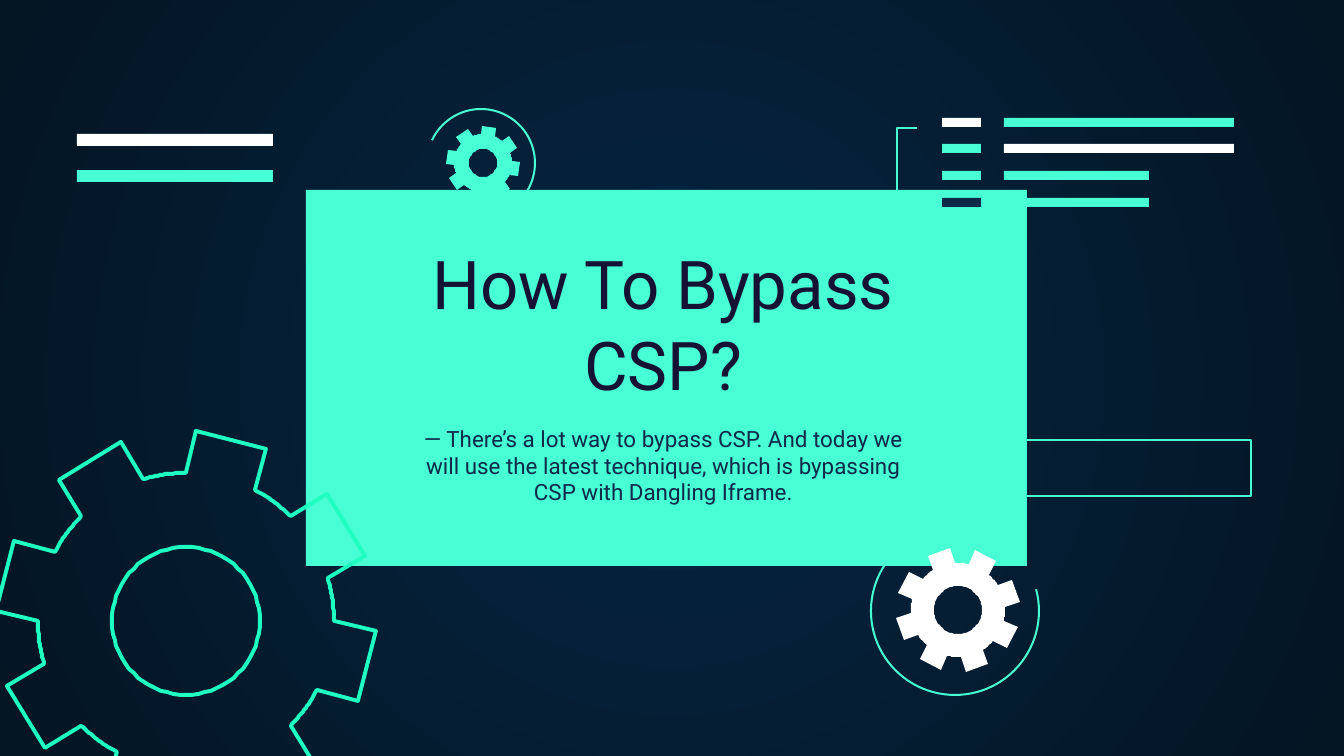
from dataclasses import dataclass
from math import cos, radians, sin

from lxml import etree
from pptx import Presentation
from pptx.dml.color import RGBColor
from pptx.enum.shapes import MSO_SHAPE
from pptx.enum.text import MSO_ANCHOR, PP_ALIGN
from pptx.oxml.ns import qn
from pptx.util import Emu, Pt

EMU_PER_PX = 914400 / 134.4
RECTANGLE, ARC = MSO_SHAPE.RECTANGLE, MSO_SHAPE.ARC
TOP, BOTTOM = MSO_ANCHOR.TOP, MSO_ANCHOR.BOTTOM
CENTER = PP_ALIGN.CENTER

MINT, WHITE, NAVY = "48FFD5", "FFFFFF", "0E2A47"
THIN, THICK = 1.09, 2.1
TEETH = 8
TIP_HALF_ANGLE, ROOT_HALF_ANGLE = 11, 14


@dataclass
class Bar:
    left: int
    top: int
    width: int
    height: int
    color: str


@dataclass
class Gear:
    x: int
    y: int
    tip: int
    root: int
    hole: int
    turn: int
    fill: str | None = None
    line: str | None = None


@dataclass
class Orbit:
    x: int
    y: int
    radius: int
    start: int
    end: int


@dataclass
class Label:
    left: int
    top: int
    width: int
    height: int
    anchor: MSO_ANCHOR
    size: int
    color: str
    text: str


def px(value: float) -> Emu:
    return Emu(round(value * EMU_PER_PX))


def rgb(color: str) -> RGBColor:
    return RGBColor.from_string(color)


def style(shape, fill: str | None = None, line: str | None = None, width: float = THIN) -> None:
    shape.shadow.inherit = False
    if fill:
        shape.fill.solid()
        shape.fill.fore_color.rgb = rgb(fill)
    else:
        shape.fill.background()
    if line:
        shape.line.color.rgb = rgb(line)
        shape.line.width = Pt(width)
    else:
        shape.line.fill.background()


def polar(x: float, y: float, radius: float, angle: float) -> tuple[float, float]:
    return x + radius * cos(radians(angle)), y + radius * sin(radians(angle))


def draw_bar(page, bar: Bar) -> None:
    box = page.shapes.add_shape(RECTANGLE, px(bar.left), px(bar.top), px(bar.width), px(bar.height))
    style(box, bar.color)


def draw_gear(page, gear: Gear) -> None:
    pitch = 360 // TEETH
    outline = []
    for tooth in range(TEETH):
        middle = gear.turn + tooth * pitch
        corners = [(gear.tip, -TIP_HALF_ANGLE), (gear.tip, TIP_HALF_ANGLE)]
        valley = [(gear.root, angle) for angle in range(ROOT_HALF_ANGLE, pitch - ROOT_HALF_ANGLE + 1)]
        outline += [polar(gear.x, gear.y, radius, middle + angle) for radius, angle in corners + valley]
    hole = [polar(gear.x, gear.y, gear.hole, -angle) for angle in range(0, 360, 5)]
    builder = page.shapes.build_freeform(*outline[0], scale=EMU_PER_PX)
    builder.add_line_segments(outline[1:], close=True)
    builder.move_to(*hole[0])
    builder.add_line_segments(hole[1:], close=True)
    style(builder.convert_to_shape(), gear.fill, gear.line, THICK)


def draw_orbit(page, orbit: Orbit) -> None:
    side = px(2 * orbit.radius)
    arc = page.shapes.add_shape(ARC, px(orbit.x - orbit.radius), px(orbit.y - orbit.radius), side, side)
    arc.adjustments[0] = orbit.start * 0.6
    arc.adjustments[1] = orbit.end * 0.6
    style(arc, line=MINT)


def draw_label(page, label: Label) -> None:
    box = page.shapes.add_textbox(px(label.left), px(label.top), px(label.width), px(label.height))
    frame = box.text_frame
    frame.word_wrap = True
    frame.vertical_anchor = label.anchor
    frame.margin_left = frame.margin_right = frame.margin_top = frame.margin_bottom = Pt(7.2)
    para = frame.paragraphs[0]
    para.text = label.text
    para.alignment = CENTER
    para.font.name = "Roboto"
    para.font.size = Pt(label.size)
    para.font.color.rgb = rgb(label.color)


def paint_background(page) -> None:
    fill = page.background.fill
    fill.gradient()
    for stop, position, color in zip(fill.gradient_stops, (0, 1), ("052643", "041523")):
        stop.position = position
        stop.color.rgb = rgb(color)
    gradient = next(page.element.iter(qn("a:gradFill")))
    gradient.remove(gradient.find(qn("a:lin")))
    radial = etree.SubElement(gradient, qn("a:path"), {"path": "circle"})
    etree.SubElement(radial, qn("a:fillToRect"), dict.fromkeys("ltrb", "50000"))


def code_bars() -> list[Bar]:
    rows = [(WHITE, MINT, 230), (MINT, WHITE, 230), (MINT, MINT, 145), (NAVY, MINT, 145)]
    bars = []
    for row, (marker, code, width) in enumerate(rows):
        top = 118 + row * 80 // 3
        bars += [Bar(942, top, 39, 9, marker), Bar(1004, top, width, 9, code)]
    return bars


def main() -> None:
    deck = Presentation()
    deck.slide_width, deck.slide_height = px(1344), px(756)
    page = deck.slides.add_slide(deck.slide_layouts[6])
    paint_background(page)

    draw_bar(page, Bar(306, 190, 721, 376, MINT))
    draw_orbit(page, Orbit(481, 163, 54, 205, 41))
    draw_orbit(page, Orbit(955, 611, 84, 345, 234))
    draw_gear(page, Gear(186, 621, 190, 148, 74, 14, line="1EFFC1"))
    draw_gear(page, Gear(958, 610, 62, 47, 24, -18, fill=WHITE))
    draw_gear(page, Gear(483, 163, 37, 29, 14, 10, fill=MINT))
    for bar in code_bars():
        draw_bar(page, bar)

    bracket = page.shapes.build_freeform(917, 210, scale=EMU_PER_PX)
    bracket.add_line_segments([(897, 210), (897, 128), (917, 128)], close=False)
    style(bracket.convert_to_shape(), line=MINT)

    for top, color in ((134, WHITE), (170, MINT)):
        draw_bar(page, Bar(77, top, 196, 12, color))

    frame = page.shapes.add_shape(RECTANGLE, px(967), px(440), px(284), px(56))
    style(frame, line=MINT)

    draw_label(page, Label(404, 234, 519, 285, BOTTOM, 12, NAVY,
                           "— There’s a lot way to bypass CSP. And today we will use the latest "
                           "technique, which is bypassing CSP with Dangling Iframe."))
    draw_label(page, Label(409, 229, 508, 208, TOP, 36, "161234", "How To Bypass CSP?"))
    deck.save("out.pptx")


if __name__ == "__main__":
    main()
